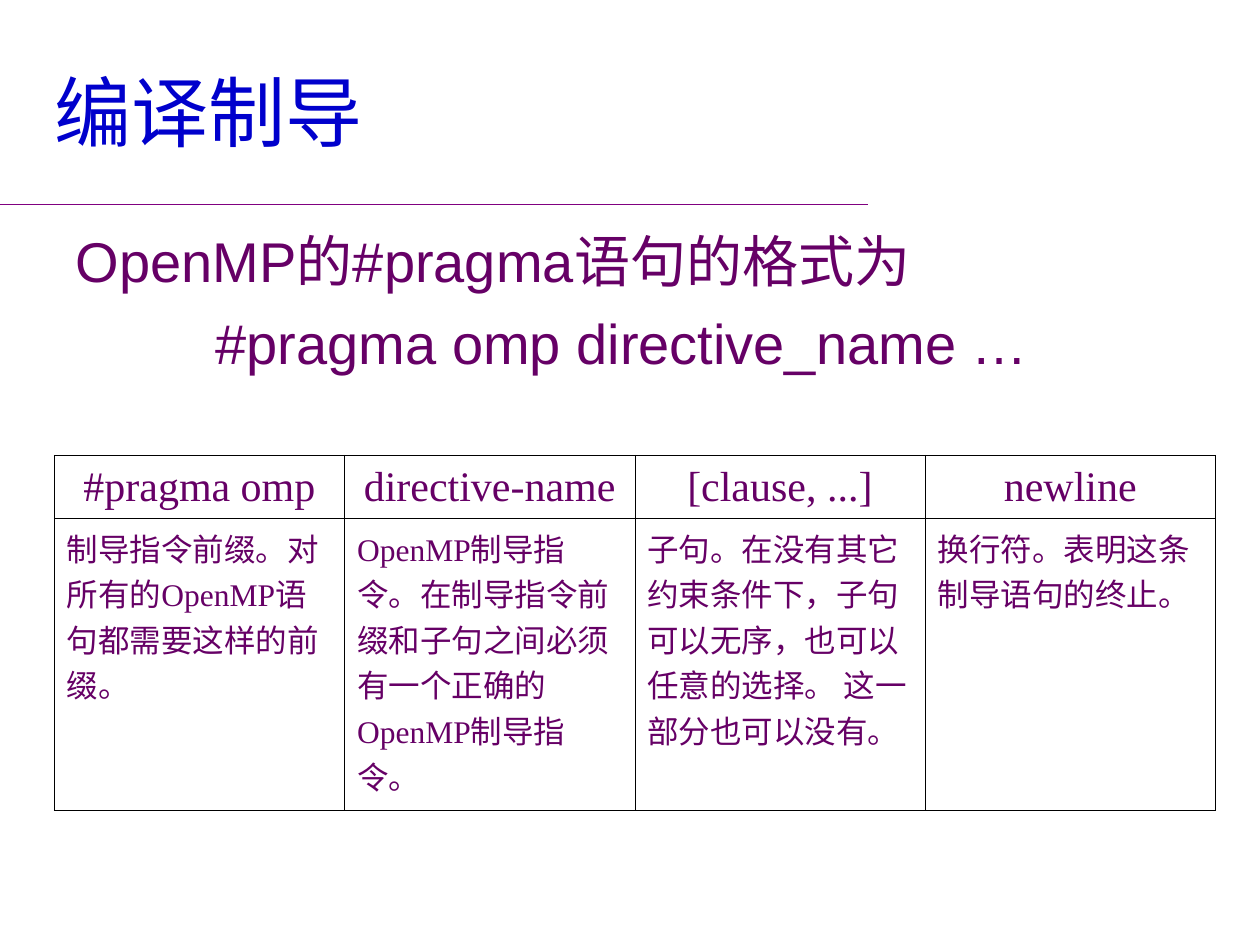
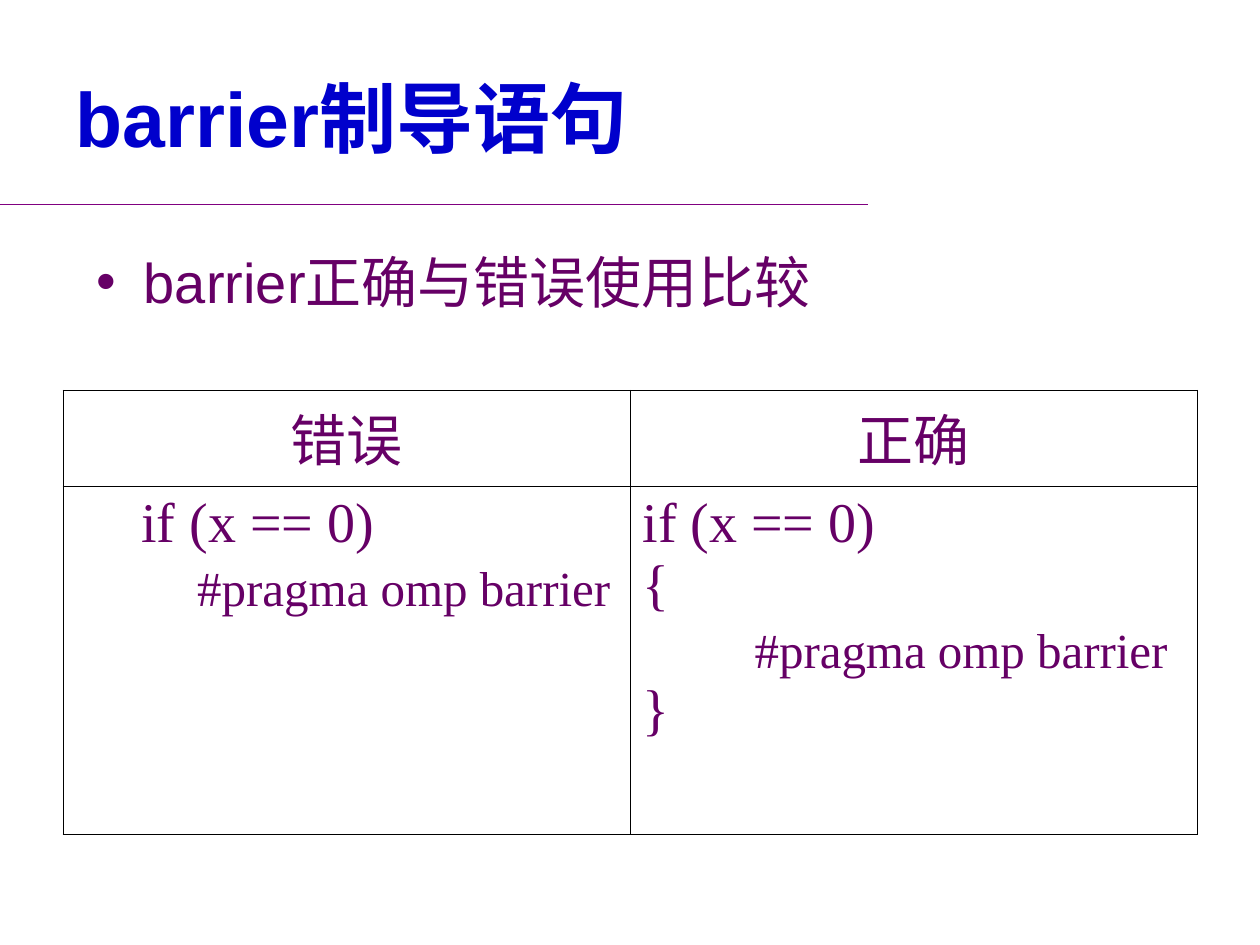
from lxml.etree import SubElement
from pptx import Presentation
from pptx.dml.color import RGBColor
from pptx.enum.shapes import MSO_CONNECTOR as Connector
from pptx.enum.text import MSO_ANCHOR as Anchor, MSO_AUTO_SIZE as AutoSize, PP_ALIGN as Align
from pptx.oxml.ns import qn
from pptx.util import Pt

TITLE_COLOR = "0000CC"
TEXT_COLOR = "660066"
RULE_COLOR = "800080"
BORDER_COLOR = "000000"
HEADING_FONT = "Arial"
TABLE_FONT = "Times New Roman"


def color(hex_string):
    return RGBColor.from_string(hex_string)


def apply_format(target, values):
    for name, value in values.items():
        setattr(target, name, value)


def place(shape, left, top, width, height):
    apply_format(shape, {"left": Pt(left), "top": Pt(top),
                         "width": Pt(width), "height": Pt(height)})


class Deck:
    """Holds the shared style and the current slide."""

    def __init__(self):
        self.presentation = Presentation()
        apply_format(self.presentation, {"slide_width": Pt(720), "slide_height": Pt(540)})
        self.slide = None

    def add_slide(self):
        layout = self.presentation.slide_layouts.get_by_name("Title and Content")
        self.slide = self.presentation.slides.add_slide(layout)
        self.rule()

    def rule(self):
        line = self.slide.shapes.add_connector(
            Connector.STRAIGHT, Pt(0), Pt(116.8), Pt(496), Pt(116.8))
        line.line.color.rgb = color(RULE_COLOR)
        line.line.width = Pt(1)
        SubElement(line._element.spPr, qn("a:effectLst"))

    def fill_paragraph(self, paragraph, text, size, font, hex_color=TEXT_COLOR, bold=False,
                       align=Align.LEFT, space_before=0, margin=0, indent=0):
        run = paragraph.add_run()
        run.text = text
        apply_format(run.font, {"size": Pt(size), "name": font, "bold": bold})
        run.font.color.rgb = color(hex_color)
        apply_format(paragraph, {"alignment": align, "space_before": Pt(space_before)})
        properties = paragraph._p.get_or_add_pPr()
        properties.set("marL", str(Pt(margin)))
        properties.set("indent", str(Pt(indent)))

    def fill_frame(self, frame, lines, **style):
        """Add (text, format) pairs, one paragraph each."""
        for index, (text, values) in enumerate(lines):
            paragraph = frame.add_paragraph() if index else frame.paragraphs[0]
            self.fill_paragraph(paragraph, text, **{**style, **values})

    def title(self, text, box, bold=False):
        shape = self.slide.shapes.title
        place(shape, *box)
        apply_format(shape.text_frame, {"auto_size": AutoSize.NONE,
                                        "vertical_anchor": Anchor.MIDDLE})
        self.fill_paragraph(shape.text_frame.paragraphs[0], text, 44, HEADING_FONT,
                            TITLE_COLOR, bold)

    def body(self, lines, box, bullets=False):
        shape = self.slide.placeholders[1]
        place(shape, *box)
        frame = shape.text_frame
        frame.auto_size = AutoSize.NONE
        self.fill_frame(frame, lines, size=32, font=HEADING_FONT, space_before=8)
        if not bullets:
            for paragraph in frame.paragraphs:
                SubElement(paragraph._p.get_or_add_pPr(), qn("a:buNone"))

    def table(self, headers, cells, box, row_heights, header_size, body_size,
              header_anchor=Anchor.TOP):
        left, top, width = box
        table = self.slide.shapes.add_table(
            2, len(headers), Pt(left), Pt(top), Pt(width), Pt(sum(row_heights))).table
        apply_format(table, {"first_row": False, "horz_banding": False})
        for column in table.columns:
            column.width = Pt(width / len(headers))
        for row, height in zip(table.rows, row_heights):
            row.height = Pt(height)
        for index, (header, lines) in enumerate(zip(headers, cells)):
            header_cell, body_cell = table.cell(0, index), table.cell(1, index)
            header_cell.vertical_anchor = header_anchor
            self.fill_frame(header_cell.text_frame, [(header, {})],
                            size=header_size, font=TABLE_FONT, align=Align.CENTER)
            self.fill_frame(body_cell.text_frame, lines, size=body_size, font=TABLE_FONT)
            for cell in (header_cell, body_cell):
                self.outline(cell)
                cell.fill.background()

    def outline(self, cell):
        properties = cell._tc.get_or_add_tcPr()
        for side in ("lnL", "lnR", "lnT", "lnB"):
            border = SubElement(properties, qn(f"a:{side}"), w=str(Pt(0.45)))
            fill = SubElement(border, qn("a:solidFill"))
            SubElement(fill, qn("a:srgbClr"), val=BORDER_COLOR)


def plain(*texts):
    return [(text, {}) for text in texts]


def directive_slide(deck):
    deck.add_slide()
    deck.title("编译制导", (24, 18, 672, 90))
    deck.body([("OpenMP的#pragma语句的格式为", {}),
               ("#pragma omp directive_name …", {"margin": 80})],
              (36, 126, 670, 356))
    # Parts of a directive
    deck.table(
        ["#pragma omp", "directive-name", "[clause, ...]", "newline"],
        [plain("制导指令前缀。对", "所有的OpenMP语", "句都需要这样的前", "缀。"),
         plain("OpenMP制导指", "令。在制导指令前", "缀和子句之间必须",
               "有一个正确的", "OpenMP制导指", "令。"),
         plain("子句。在没有其它", "约束条件下，子句", "可以无序，也可以",
               "任意的选择。 这一", "部分也可以没有。"),
         plain("换行符。表明这条", "制导语句的终止。")],
        (31, 260.2, 663.6), (36, 167), 24, 18, Anchor.MIDDLE)


def barrier_slide(deck):
    deck.add_slide()
    deck.title("barrier制导语句", (36, 21.6, 648, 90), bold=True)
    deck.body([("barrier正确与错误使用比较", {"margin": 27, "indent": -27})],
              (48, 138, 618, 360), bullets=True)
    # Wrong and right use side by side
    pragma, condition = "#pragma omp barrier", "if (x == 0)"
    nested = {"size": 28, "space_before": 4.5}
    deck.table(
        ["错误", "正确"],
        [[(condition, {"margin": 37.5}), (pragma, {**nested, "margin": 69.5})],
         [(condition, {}), ("{", {}), (pragma, {**nested, "margin": 64}), ("}", {})]],
        (36, 223, 648), (55, 199), 32, 32)


def main():
    deck = Deck()
    directive_slide(deck)
    barrier_slide(deck)
    deck.presentation.save("out.pptx")


if __name__ == "__main__":
    main()
